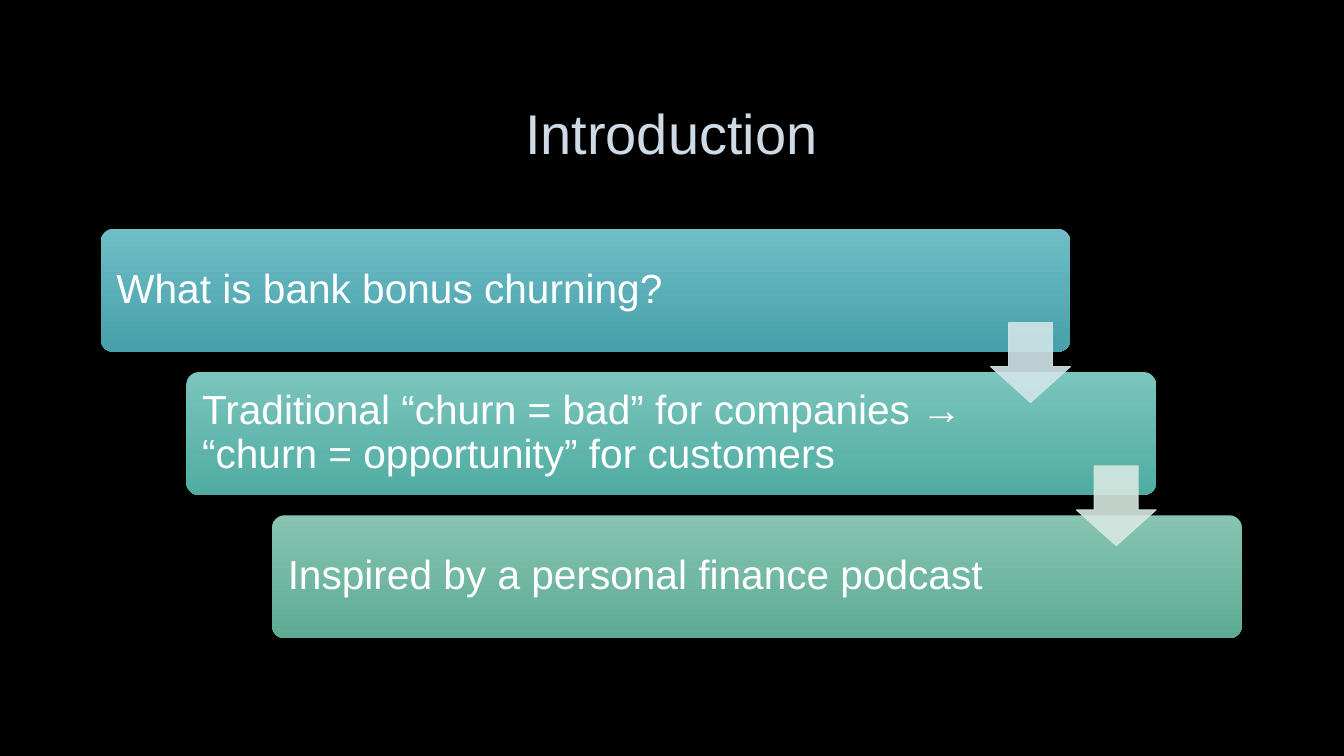
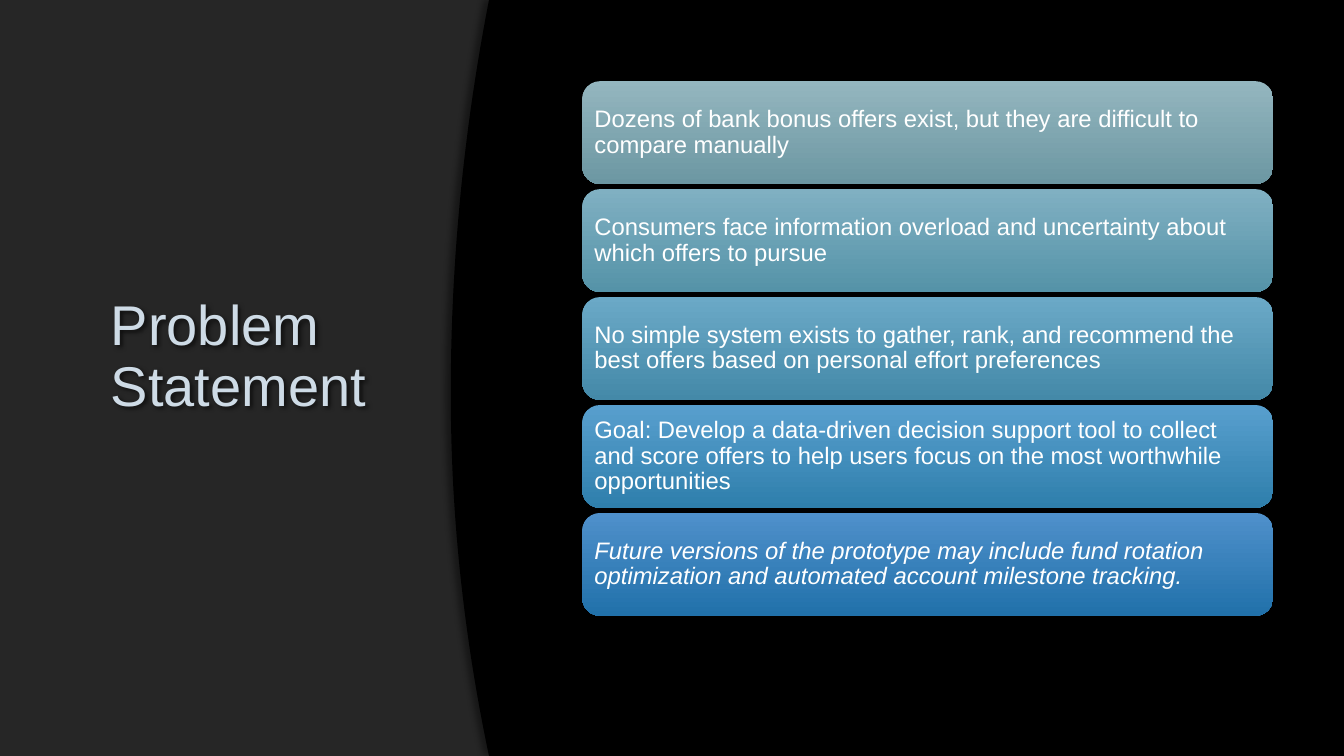
"""Build the introduction and problem statement slides on bank bonus churning."""
from dataclasses import dataclass

from lxml.etree import SubElement
from pptx import Presentation
from pptx.dml.color import RGBColor
from pptx.enum.shapes import MSO_SHAPE
from pptx.enum.text import MSO_ANCHOR, MSO_AUTO_SIZE, PP_ALIGN
from pptx.oxml.ns import qn
from pptx.presentation import Presentation as PresentationType
from pptx.shapes.base import BaseShape
from pptx.slide import Slide
from pptx.util import Pt

COLORS = {
    "background": "000000",
    "panel": "262626",
    "shadow": "000000",
    "title": "CEDBE6",
    "card_text": "FFFFFF",
}
FONT = "Arial"
SLIDE_WIDTH = 960
SLIDE_HEIGHT = 540
LINE_SPACING = 0.9
ARROW_SIZE = 57
ARROW_DROP = 67
ARROW_OPACITY = 90


@dataclass(frozen=True)
class Box:
    left: float
    top: float
    width: float
    height: float


@dataclass(frozen=True)
class Card:
    text: str
    top_color: str
    bottom_color: str
    italic: bool = False
    arrow_color: str = ""


@dataclass(frozen=True)
class CardStack:
    first: Box
    step_x: float
    step_y: float
    corner: float
    font_size: float
    inset: float
    right_inset: float


STAIRCASE = CardStack(Box(72, 163.5, 692.6, 87.7), 61.2, 102.3, 0.1, 29, 8.6, 127)
COLUMN = CardStack(Box(416, 58, 493.4, 73.4), 0, 77.1, 0.17, 17, 5, 5)

INTRODUCTION_CARDS = [
    Card("What is bank bonus churning?", "6FBEC6", "47A0AA", arrow_color="D1E5E8"),
    Card(
        "Traditional “churn = bad” for companies → “churn = opportunity” for customers",
        "7BC5BD", "50ACA2", arrow_color="D6E8E1",
    ),
    Card("Inspired by a personal finance podcast", "87C4B1", "5DAB93"),
]
PROBLEM_CARDS = [
    Card(
        "Dozens of bank bonus offers exist, but they are difficult to compare manually",
        "94B6BF", "6C97A2",
    ),
    Card(
        "Consumers face information overload and uncertainty about which offers to pursue",
        "80B0C2", "5593A8",
    ),
    Card(
        "No simple system exists to gather, rank, and recommend the best offers "
        "based on personal effort preferences",
        "6BA9C7", "4489A8",
    ),
    Card(
        "Goal: Develop a data-driven decision support tool to collect and score offers "
        "to help users focus on the most worthwhile opportunities",
        "589FCE", "2F7FAC",
    ),
    Card(
        "Future versions of the prototype may include fund rotation optimization "
        "and automated account milestone tracking.",
        "4F90CB", "2171AA", italic=True,
    ),
]


def color(value: str) -> RGBColor:
    return RGBColor.from_string(value)


def add_shape(slide: Slide, kind: MSO_SHAPE, box: Box) -> BaseShape:
    shape = slide.shapes.add_shape(
        kind, Pt(box.left), Pt(box.top), Pt(box.width), Pt(box.height)
    )
    shape.shadow.inherit = False
    return shape


def add_shadow(shape: BaseShape, blur: float, distance: float, angle: int, opacity: int) -> None:
    shape.shadow.inherit = False
    effects = shape.element.spPr.find(qn("a:effectLst"))
    shadow = SubElement(
        effects, qn("a:outerShdw"), blurRad=str(Pt(blur)), dist=str(Pt(distance)),
        dir=str(angle * 60000), algn="ctr", rotWithShape="0",
    )
    shade = SubElement(shadow, qn("a:srgbClr"), val=COLORS["shadow"])
    SubElement(shade, qn("a:alpha"), val=str(opacity * 1000))


def write_text(
    shape: BaseShape, text: str, size: float, text_color: str,
    alignment: PP_ALIGN = PP_ALIGN.LEFT, italic: bool = False,
) -> None:
    frame = shape.text_frame
    frame.word_wrap = True
    frame.auto_size = MSO_AUTO_SIZE.NONE
    frame.vertical_anchor = MSO_ANCHOR.MIDDLE
    frame.text = text
    paragraph = frame.paragraphs[0]
    paragraph.alignment = alignment
    paragraph.line_spacing = LINE_SPACING
    paragraph.font.name = FONT
    paragraph.font.size = Pt(size)
    paragraph.font.italic = italic
    paragraph.font.color.rgb = color(text_color)


def add_titled_slide(
    presentation: PresentationType, title: str, box: Box, alignment: PP_ALIGN, background: str
) -> Slide:
    slide = presentation.slides.add_slide(presentation.slide_layouts[5])
    slide.background.fill.solid()
    slide.background.fill.fore_color.rgb = color(background)
    placeholder = slide.shapes.title
    placeholder.left, placeholder.top = Pt(box.left), Pt(box.top)
    placeholder.width, placeholder.height = Pt(box.width), Pt(box.height)
    write_text(placeholder, title, 40, COLORS["title"], alignment)
    add_shadow(placeholder, blur=3, distance=2, angle=45, opacity=60)
    return slide


def add_card(slide: Slide, card: Card, box: Box, stack: CardStack) -> None:
    shape = add_shape(slide, MSO_SHAPE.ROUNDED_RECTANGLE, box)
    shape.adjustments[0] = stack.corner
    shape.line.fill.background()
    shape.fill.gradient()
    shape.fill.gradient_angle = 270
    for stop, value in zip(shape.fill.gradient_stops, (card.top_color, card.bottom_color)):
        stop.color.rgb = color(value)
    frame = shape.text_frame
    frame.margin_left = frame.margin_top = frame.margin_bottom = Pt(stack.inset)
    frame.margin_right = Pt(stack.right_inset)
    write_text(shape, card.text, stack.font_size, COLORS["card_text"], italic=card.italic)


def add_arrow(slide: Slide, card: Card, box: Box) -> None:
    left = box.left + box.width - ARROW_SIZE
    arrow = add_shape(
        slide, MSO_SHAPE.DOWN_ARROW, Box(left, box.top + ARROW_DROP, ARROW_SIZE, ARROW_SIZE)
    )
    arrow.adjustments[0], arrow.adjustments[1] = 0.55, 0.45
    arrow.line.width = Pt(0.75)
    for fill in (arrow.fill, arrow.line.fill):
        fill.solid()
        fill.fore_color.rgb = color(card.arrow_color)
    for shade in arrow.element.spPr.iter(qn("a:srgbClr")):
        SubElement(shade, qn("a:alpha"), val=str(ARROW_OPACITY * 1000))


def add_card_stack(slide: Slide, cards: list[Card], stack: CardStack) -> None:
    first = stack.first
    boxes = [
        Box(
            first.left + index * stack.step_x, first.top + index * stack.step_y,
            first.width, first.height,
        )
        for index in range(len(cards))
    ]
    for card, box in zip(cards, boxes):
        add_card(slide, card, box, stack)
    for card, box in zip(cards, boxes):
        if card.arrow_color:
            add_arrow(slide, card, box)


def add_curved_panel(slide: Slide) -> None:
    edge, bulge, middle, segments = 322, 27.3, 281, 48
    points = []
    for index in range(segments + 1):
        y = SLIDE_HEIGHT * index / segments
        span = middle if y < middle else SLIDE_HEIGHT - middle
        x = edge + bulge * ((y - middle) / span) ** 2
        points.append((Pt(x), Pt(y)))
    points += [(Pt(SLIDE_WIDTH), Pt(SLIDE_HEIGHT)), (Pt(SLIDE_WIDTH), Pt(0))]
    builder = slide.shapes.build_freeform(*points[0])
    builder.add_line_segments(points[1:], close=True)
    panel = builder.convert_to_shape()
    panel.fill.solid()
    panel.fill.fore_color.rgb = color(COLORS["background"])
    panel.line.fill.background()
    add_shadow(panel, blur=4, distance=3, angle=180, opacity=40)


def build_introduction(presentation: PresentationType) -> None:
    slide = add_titled_slide(
        presentation, "Introduction", Box(72, 48, 815, 99.4),
        PP_ALIGN.CENTER, COLORS["background"],
    )
    add_card_stack(slide, INTRODUCTION_CARDS, STAIRCASE)


def build_problem_statement(presentation: PresentationType) -> None:
    slide = add_titled_slide(
        presentation, "Problem Statement", Box(72, 48, 220, 415.4),
        PP_ALIGN.LEFT, COLORS["panel"],
    )
    add_curved_panel(slide)
    add_card_stack(slide, PROBLEM_CARDS, COLUMN)


def main() -> None:
    presentation = Presentation()
    presentation.slide_width = Pt(SLIDE_WIDTH)
    presentation.slide_height = Pt(SLIDE_HEIGHT)
    build_introduction(presentation)
    build_problem_statement(presentation)
    presentation.save("out.pptx")


if __name__ == "__main__":
    main()
